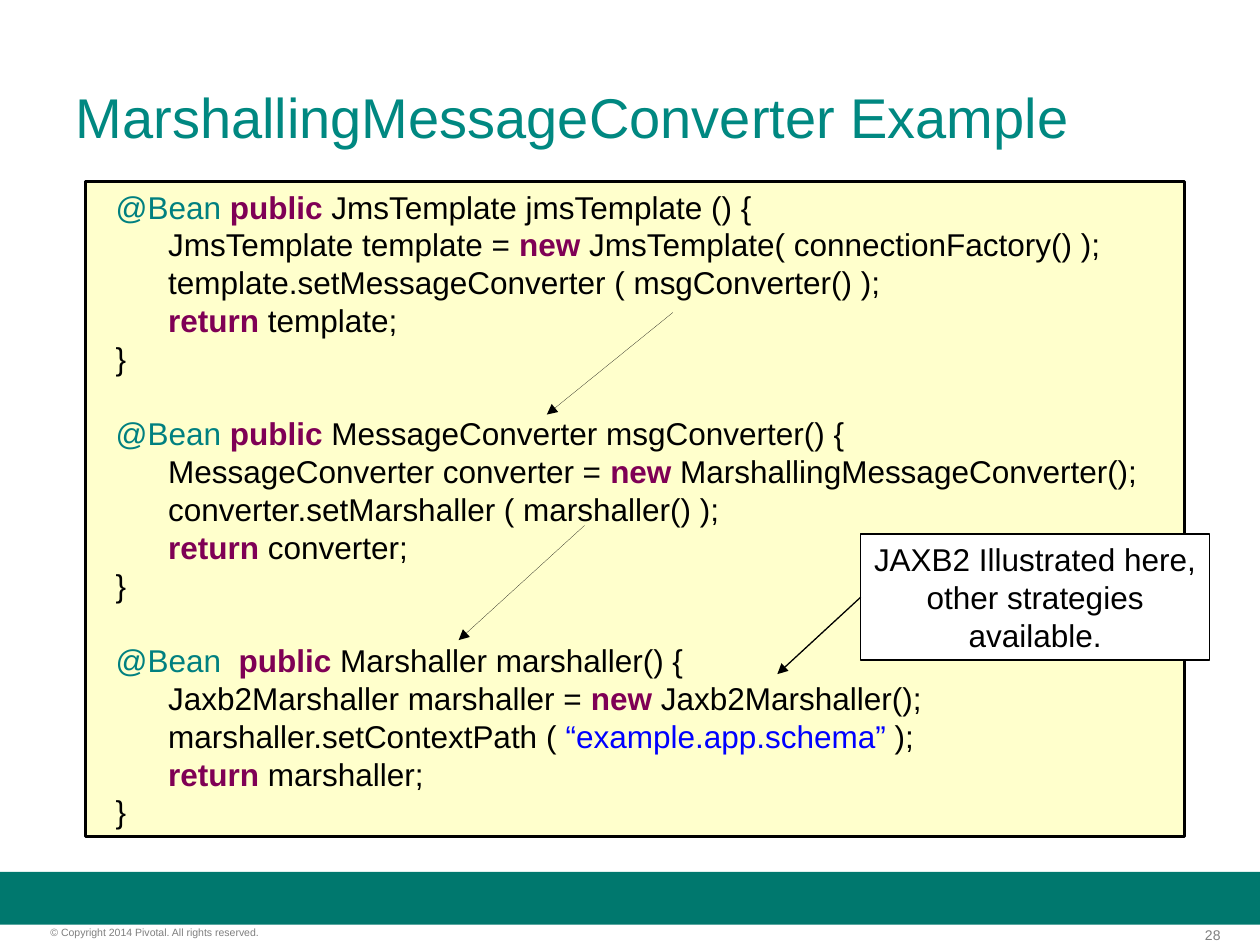
from lxml.etree import SubElement
from pptx import Presentation
from pptx.dml.color import RGBColor
from pptx.enum.shapes import MSO_CONNECTOR, MSO_SHAPE
from pptx.enum.text import MSO_ANCHOR, PP_ALIGN
from pptx.oxml.ns import qn
from pptx.util import Pt

FONT = "Arial"
TEAL, KEYWORD, BLACK, GRAY = "008080", "7F0055", "000000", "7F7F7F"

# Spans are divided by "|"; those listed here get a colour of their own
SPAN_COLORS = {
    "@Bean": TEAL,
    "public": KEYWORD,
    "new": KEYWORD,
    "return": KEYWORD,
    "“example.app.schema”": "0000FF",
}

# One list per bean method
CODE = [
    [
        "  |@Bean |public| JmsTemplate jmsTemplate () {",
        "        JmsTemplate template = |new| JmsTemplate( connectionFactory() );",
        "        template.setMessageConverter ( msgConverter() );",
        "        |return| template;",
        "  }",
    ],
    [
        "  |@Bean |public| MessageConverter msgConverter() {",
        "        MessageConverter converter = |new| MarshallingMessageConverter();",
        "        converter.setMarshaller ( marshaller() );",
        "        |return| converter;",
        "  }",
    ],
    [
        "  |@Bean  |public| Marshaller marshaller() {",
        "        Jaxb2Marshaller marshaller = |new| Jaxb2Marshaller();",
        "        marshaller.setContextPath ( |“example.app.schema”| );",
        "        |return| marshaller;",
        "  }",
    ],
]


def color(hex_string):
    return RGBColor.from_string(hex_string)


class SlideBuilder:
    text_size = 18
    line_height = 21.6

    def __init__(self, page):
        self.page = page

    def add_span(self, para, text, size, hex_color, bold=False):
        span = para.add_run()
        span.text = text
        span.font.name = FONT
        span.font.size = Pt(size)
        span.font.bold = bold
        span.font.color.rgb = color(hex_color)

    def title(self, text, left, top, width, height):
        box = self.page.shapes.title
        box.left, box.top, box.width, box.height = map(Pt, (left, top, width, height))
        box.text_frame.vertical_anchor = MSO_ANCHOR.MIDDLE
        para = box.text_frame.paragraphs[0]
        para.alignment = PP_ALIGN.LEFT
        self.add_span(para, text, 32, "008881")

    def rectangle(self, left, top, width, height, fill, line_width=0):
        box = self.page.shapes.add_shape(
            MSO_SHAPE.RECTANGLE, Pt(left), Pt(top), Pt(width), Pt(height))
        box.shadow.inherit = False
        box.fill.solid()
        box.fill.fore_color.rgb = color(fill)
        if line_width:
            box.line.color.rgb = color(BLACK)
            box.line.width = Pt(line_width)
        else:
            box.line.fill.background()
        box.text_frame.word_wrap = True
        box.text_frame.vertical_anchor = MSO_ANCHOR.TOP
        return box

    def code(self, box, methods):
        frame = box.text_frame
        para = frame.paragraphs[0]
        for method_index, lines in enumerate(methods):
            for line_index, line in enumerate(lines):
                if method_index or line_index:
                    para = frame.add_paragraph()
                if method_index and not line_index:
                    para.space_before = Pt(self.line_height)
                para.alignment = PP_ALIGN.LEFT
                for text in line.split("|"):
                    hex_color = SPAN_COLORS.get(text.strip(), BLACK)
                    self.add_span(para, text, self.text_size, hex_color,
                                  hex_color == KEYWORD)

    def callout(self, text, left, top, width, height):
        box = self.rectangle(left, top, width, height, "FFFFFF", 1)
        para = box.text_frame.paragraphs[0]
        para.alignment = PP_ALIGN.CENTER
        self.add_span(para, text, self.text_size, BLACK)
        return box

    def arrow(self, start, end, width):
        arrow = self.page.shapes.add_connector(
            MSO_CONNECTOR.STRAIGHT, *map(Pt, (*start, *end)))
        arrow.line.color.rgb = color(BLACK)
        arrow.line.width = Pt(width)
        properties = arrow._element.spPr
        SubElement(properties.find(qn("a:ln")), qn("a:tailEnd"), type="triangle")
        SubElement(properties, qn("a:effectLst"))
        return arrow

    def footer(self, text, left, top, width, height, size, align=PP_ALIGN.LEFT):
        box = self.page.shapes.add_textbox(Pt(left), Pt(top), Pt(width), Pt(height))
        frame = box.text_frame
        frame.word_wrap = True
        frame.margin_left = frame.margin_right = 0
        frame.margin_top = frame.margin_bottom = 0
        para = frame.paragraphs[0]
        para.alignment = align
        self.add_span(para, text, size, GRAY)


def main():
    deck = Presentation()
    deck.slide_width, deck.slide_height = Pt(720), Pt(540)
    builder = SlideBuilder(deck.slides.add_slide(deck.slide_layouts[5]))

    # Footer band, page number and copyright
    builder.rectangle(0, 498.2, 720, 30.2, "00786E")
    builder.footer("28", 672.5, 529.2, 25, 9.4, 8, PP_ALIGN.RIGHT)
    builder.footer("© Copyright 2014 Pivotal. All rights reserved.",
                   28.8, 529.2, 179.3, 7.2, 6)

    # Title
    builder.title("MarshallingMessageConverter Example", 36, 21.6, 648, 90)

    # Code listing
    listing = builder.rectangle(49, 103.7, 627.8, 374.4, "FFFFCC", 1.5)
    builder.code(listing, CODE)

    # Arrows from each call to the bean it uses
    builder.arrow((384.5, 178.6), (312.5, 236.9), 0.1)
    builder.arrow((334.1, 300.2), (262.1, 365.8), 0.1)

    # Callout with its pointer
    callout = builder.callout("JAXB2 Illustrated here, other strategies available.",
                              491.8, 305.3, 199.4, 72)
    pointer = builder.arrow((491.8, 341.3), (444.2, 385.2), 0.75)
    pointer.begin_connect(callout, 1)

    deck.save("out.pptx")


if __name__ == "__main__":
    main()
